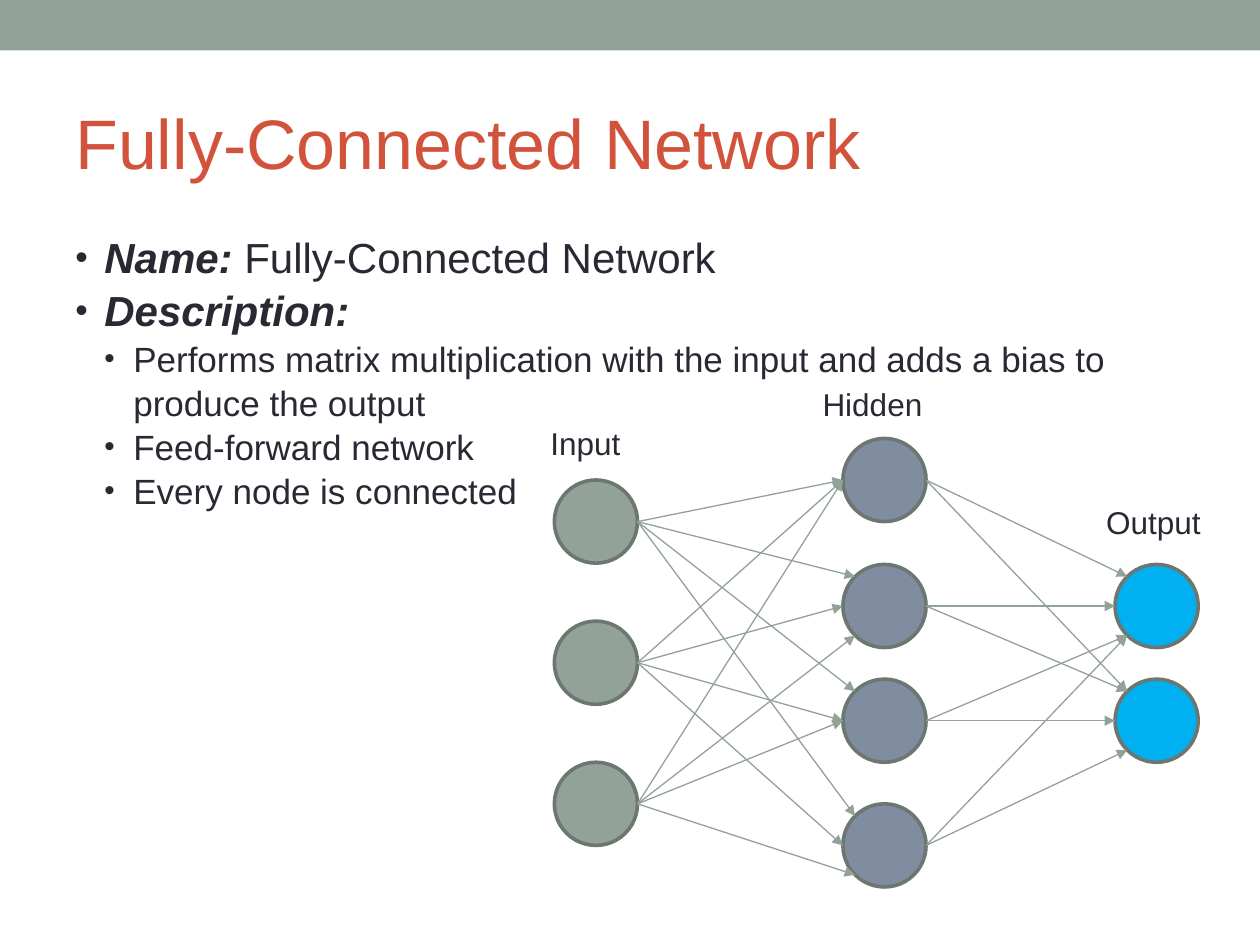
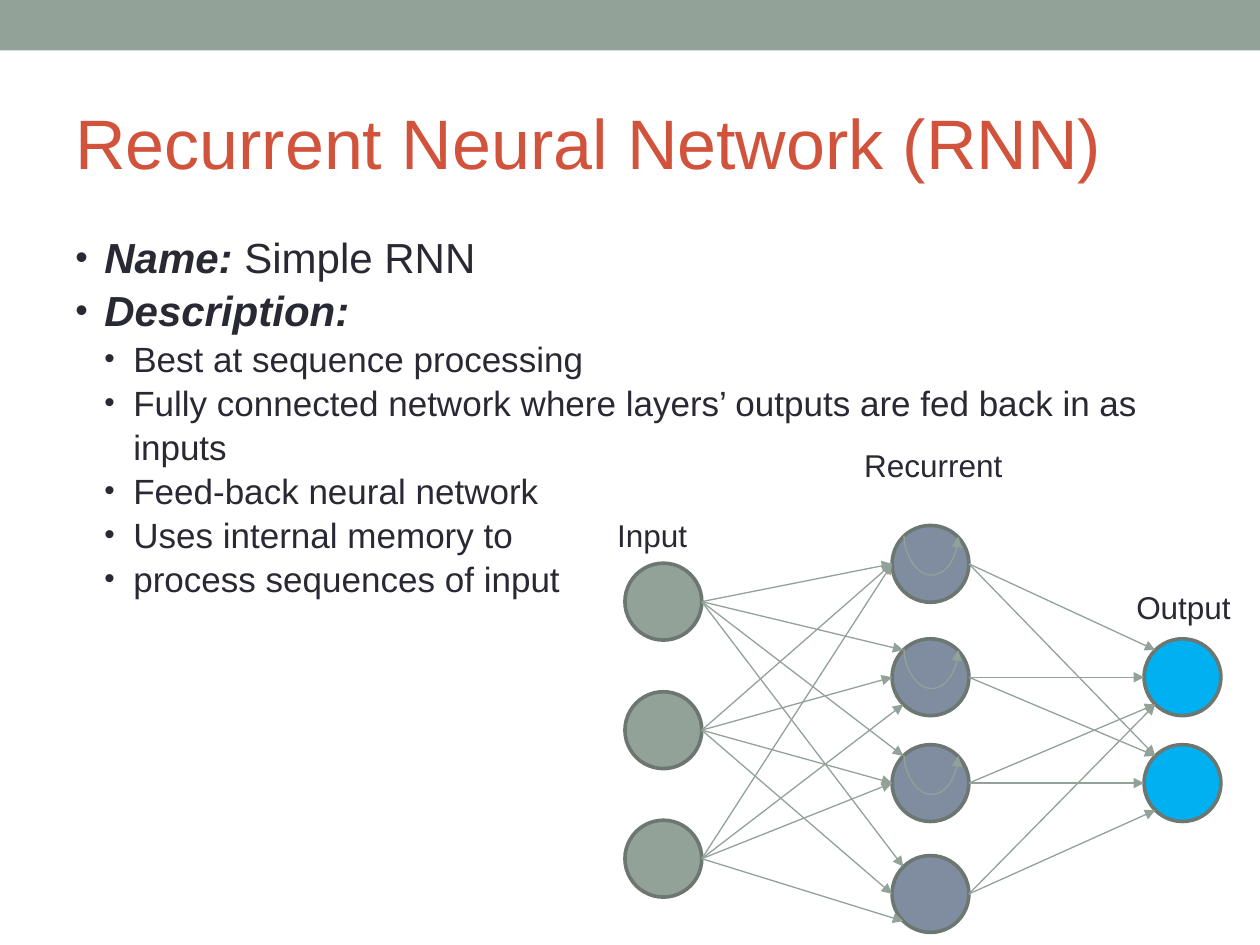
"""Build two slides that compare a fully-connected and a recurrent neural network."""
from lxml import etree
from pptx import Presentation
from pptx.dml.color import RGBColor
from pptx.enum.shapes import MSO_CONNECTOR, MSO_SHAPE
from pptx.enum.text import MSO_ANCHOR
from pptx.oxml.ns import qn
from pptx.util import Inches, Pt

RECT, ELLIPSE = MSO_SHAPE.RECTANGLE, MSO_SHAPE.OVAL
STRAIGHT, CURVE = MSO_CONNECTOR.STRAIGHT, MSO_CONNECTOR.CURVE
MIDDLE = MSO_ANCHOR.MIDDLE
FONT = "Arial"
COLORS = {"band": "93A299", "title": "D2533C", "text": "292934", "outline": "6C7771",
          "input": "93A299", "hidden": "808DA0", "output": "00B0F0", "edge": "93A299"}
LAYERS = ["input", "hidden", "output"]
INDENT = 0.23
DIAGONAL = 0.146
ENTRY_POINTS = {"T": (DIAGONAL, DIAGONAL), "L": (0, 0.5), "B": (DIAGONAL, 1 - DIAGONAL)}
EDGES = [["LTTT", "LLLL", "LBLB"], ["TT", "LT", "BL", "BB"]]

SLIDES = [
    {"title": "Fully-Connected Network",
     "name": "Fully-Connected Network",
     "points": ["Performs matrix multiplication with the input and adds a bias to produce the output",
                "Feed-forward network",
                "Every node is connected"],
     "labels": [("Input", 4.27, 3.32, 0.91), ("Hidden", 6.43, 3.01, 1.2),
                ("Output", 8.68, 3.94, 1.15)],
     "size": 0.66,
     "lefts": [4.4, 6.69, 8.85],
     "tops": [[3.81, 4.93, 6.05], [3.48, 4.48, 5.39, 6.38], [4.48, 5.39]],
     "loops": 0},
    {"title": "Recurrent Neural Network (RNN)",
     "name": "Simple RNN",
     "points": ["Best at sequence processing",
                "Fully connected network where layers’ outputs are fed back in as inputs",
                "Feed-back neural network",
                "Uses internal memory to",
                "process sequences of input"],
     "labels": [("Input", 4.8, 4.05, 0.77), ("Recurrent", 6.76, 3.49, 1.31),
                ("Output", 8.92, 4.62, 0.97)],
     "size": 0.61,
     "lefts": [4.96, 7.08, 9.08],
     "tops": [[4.47, 5.49, 6.51], [4.17, 5.07, 5.91, 6.79], [5.07, 5.91]],
     "loops": 3},
]


def add_text(s, box, lines, color="text"):
    """Add a text box; each line is a list of (text, size, bold italic) runs."""
    tf = s.shapes.add_textbox(*map(Inches, box)).text_frame
    tf.word_wrap = True
    for i, line in enumerate(lines):
        p = tf.paragraphs[0] if i == 0 else tf.add_paragraph()
        for text, size, strong in line:
            r = p.add_run()
            r.text = text
            r.font.name, r.font.size = FONT, Pt(size)
            r.font.bold = r.font.italic = strong
            r.font.color.rgb = RGBColor.from_string(COLORS[color])
    return tf


def add_arrow(s, kind, start, end):
    """Add a thin connector with a triangle at its end."""
    c = s.shapes.add_connector(kind, *map(Inches, (*start, *end)))
    c.line.color.rgb = RGBColor.from_string(COLORS["edge"])
    c.line.width = Pt(0.75)
    etree.SubElement(c.line._get_or_add_ln(), qn("a:tailEnd"), type="triangle")
    etree.SubElement(c._element.spPr, qn("a:effectLst"))
    return c


prs = Presentation()
prs.slide_width, prs.slide_height = Inches(10), Inches(7.5)

for data in SLIDES:
    s = prs.slides.add_slide(prs.slide_layouts[6])
    band = s.shapes.add_shape(RECT, 0, 0, Inches(10), Inches(0.4))
    band.shadow.inherit = False
    band.fill.solid()
    band.fill.fore_color.rgb = RGBColor.from_string(COLORS["band"])
    band.line.fill.background()

    tf = add_text(s, (0.5, 0.58, 9, 1.08), [[(data["title"], 40, False)]], "title")
    tf.vertical_anchor = MIDDLE

    lines = [[("Name:", 24, True), (" " + data["name"], 24, False)], [("Description:", 24, True)]]
    lines += [[(point, 20, False)] for point in data["points"]]
    tf = add_text(s, (0.5, 1.75, 9, 5.33), lines)
    tf.margin_top = Inches(0.07)
    for i, p in enumerate(tf.paragraphs):
        p.level = 0 if i < 2 else 1
        p.line_spacing = 1.05
        pPr = p._p.get_or_add_pPr()
        pPr.set("marL", str(Inches(INDENT * (p.level + 1))))
        pPr.set("indent", str(-Inches(INDENT)))
        etree.SubElement(pPr, qn("a:buSzPct"), val="85000")
        etree.SubElement(pPr, qn("a:buFont"), typeface=FONT)
        etree.SubElement(pPr, qn("a:buChar"), char="•")

    for text, left, top, width in data["labels"]:
        add_text(s, (left, top, width, 0.4), [[(text, 18, False)]])

    size, lefts, tops = data["size"], data["lefts"], data["tops"]
    for layer, left, layer_tops in zip(LAYERS, lefts, tops):
        for top in layer_tops:
            node = s.shapes.add_shape(ELLIPSE, *map(Inches, (left, top, size, size)))
            node.shadow.inherit = False
            node.fill.solid()
            node.fill.fore_color.rgb = RGBColor.from_string(COLORS[layer])
            node.line.color.rgb = RGBColor.from_string(COLORS["outline"])
            node.line.width = Pt(2.07)

    for k, layer_edges in enumerate(EDGES):
        for top, entries in zip(tops[k], layer_edges):
            start = (lefts[k] + size, top + size / 2)
            for target_top, entry in zip(tops[k + 1], entries):
                dx, dy = ENTRY_POINTS[entry]
                add_arrow(s, STRAIGHT, start, (lefts[k + 1] + dx * size, target_top + dy * size))

    for top in tops[1][:data["loops"]]:
        center = lefts[1] + size / 2
        loop = add_arrow(s, CURVE, (center, top + 0.3), (center + 0.01, top - 0.13))
        spPr = loop._element.spPr
        spPr.find(qn("a:xfrm")).set("rot", "5400000")
        guides = spPr.find(qn("a:prstGeom")).find(qn("a:avLst"))
        etree.SubElement(guides, qn("a:gd"), name="adj1", fmla="val 3200000")

prs.save("out.pptx")
